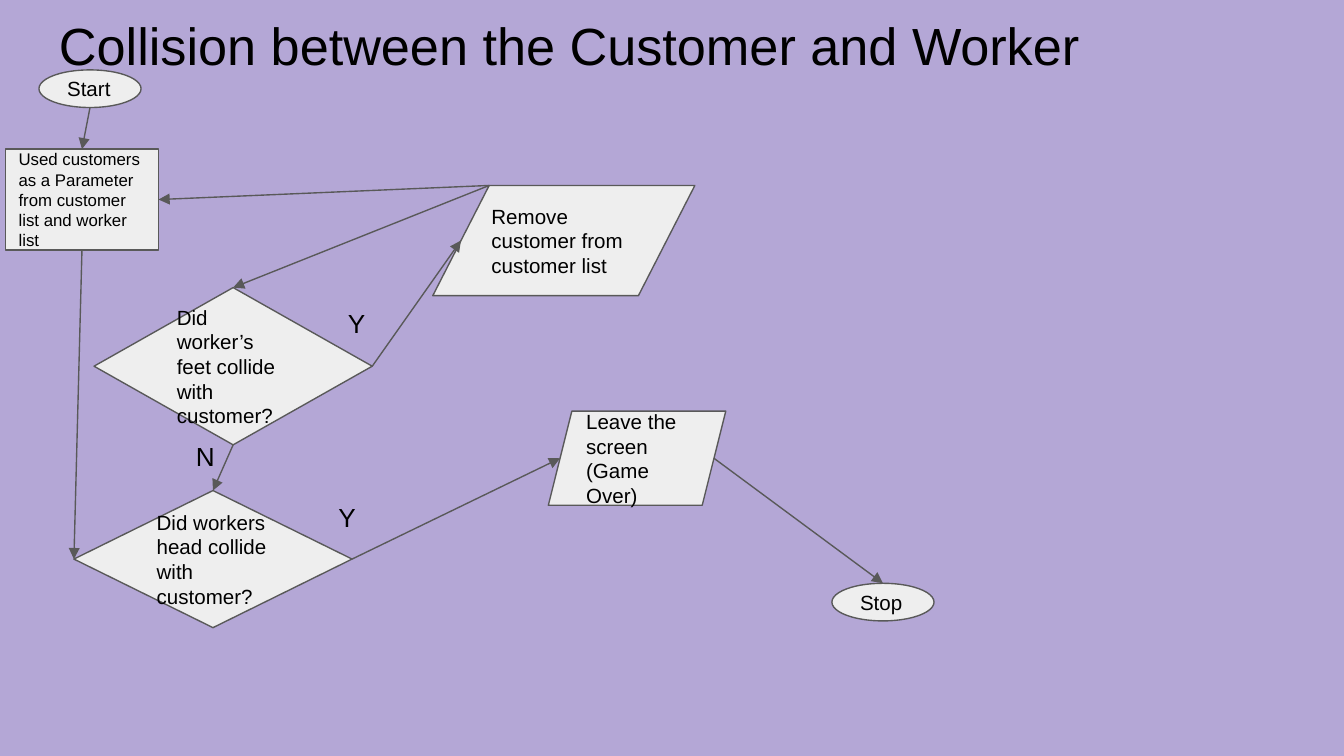
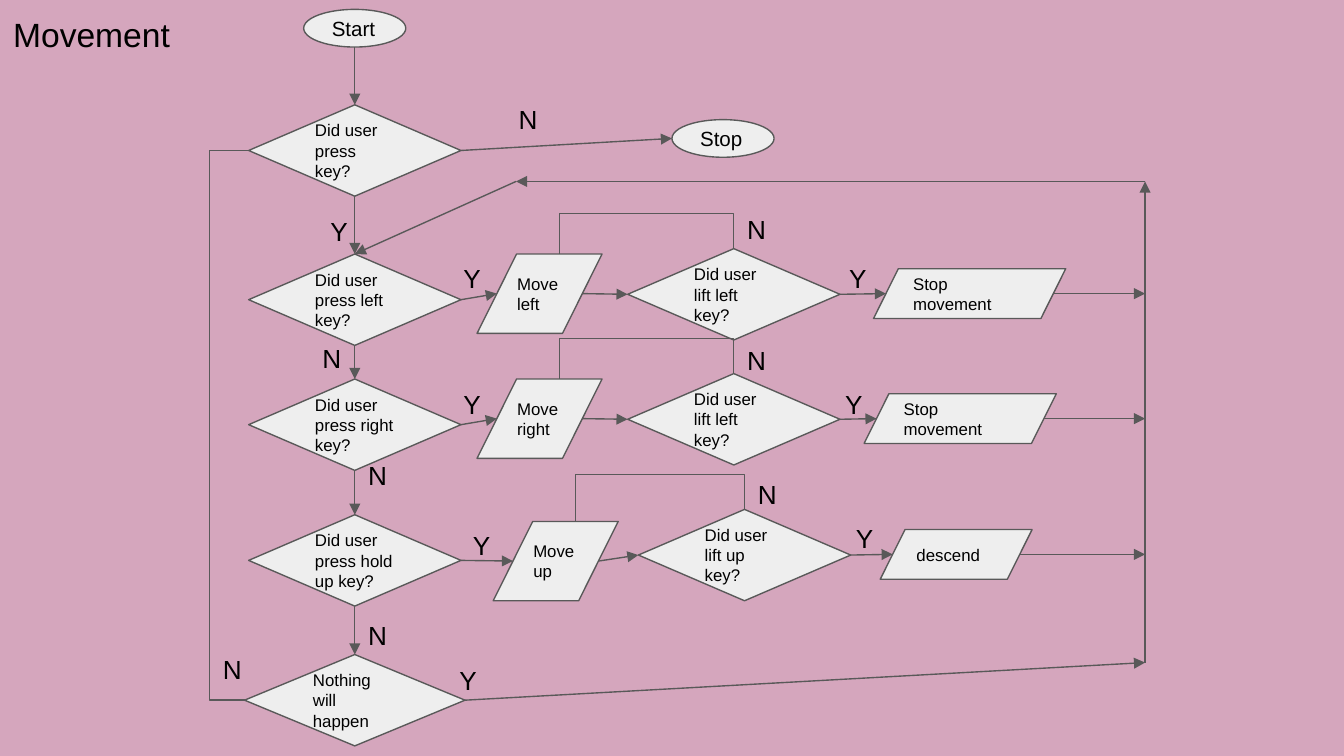
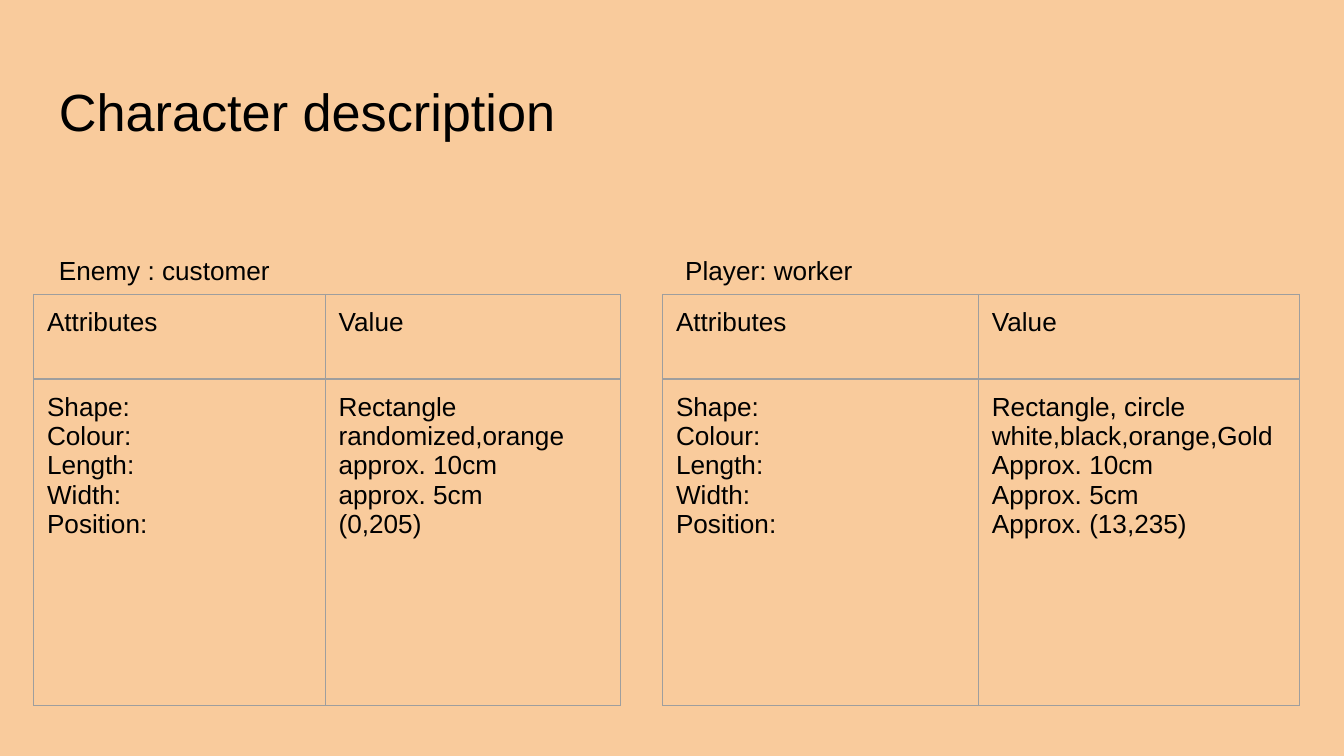
"""Build three slides: two game flowcharts and a description of the characters."""
from pptx import Presentation
from pptx.dml.color import RGBColor
from pptx.enum.shapes import MSO_CONNECTOR, MSO_SHAPE
from pptx.enum.text import MSO_ANCHOR, PP_ALIGN
from pptx.oxml.ns import qn
from pptx.oxml.xmlchemy import OxmlElement
from pptx.util import Emu, Pt

COLORS = {
    "collision": "B4A7D6",
    "movement": "D5A6BD",
    "characters": "F9CB9C",
    "node": "EEEEEE",
    "line": "595959",
    "border": "9E9E9E",
    "text": "000000",
}
FONT = "Arial"
SLIDE_WIDTH, SLIDE_HEIGHT = Emu(9144000), Emu(5143500)
COLUMNS = 10
LINE_WIDTH = Pt(0.75)
INSET = 0.1
OVAL = (0.76, 0.28)
DECISION = (1.58, 0.68)
MOVE = (0.93, 0.59)
LOOP_REACH = 0.26
RAIL = 8.52
RAIL_TOP, RAIL_BOTTOM = 1.35, 4.93


def grid(count):
    """Turn a count of grid columns or rows into a length."""
    return Emu(round(count * SLIDE_WIDTH / COLUMNS))


def color(name):
    """Look up a colour of the deck."""
    return RGBColor.from_string(COLORS[name])


def add_page(deck, background):
    """Add a blank page with a plain background."""
    page = deck.slides.add_slide(deck.slide_layouts[6])
    page.background.fill.solid()
    page.background.fill.fore_color.rgb = color(background)
    return page


def write(frame, lines, size):
    """Fill a text frame with one left-aligned paragraph per line."""
    frame.word_wrap = True
    for index, line in enumerate(lines):
        para = frame.add_paragraph() if index else frame.paragraphs[0]
        para.alignment = PP_ALIGN.LEFT
        span = para.add_run()
        span.text = line
        span.font.size = Pt(size)
        span.font.name = FONT
        span.font.color.rgb = color("text")


def set_insets(holder):
    """Give a text frame or table cell equal insets."""
    for side in ("left", "top", "right", "bottom"):
        setattr(holder, f"margin_{side}", grid(INSET))


def add_text(page, text, left, top, width, height, size=14):
    """Add a text box with one line of text."""
    box = page.shapes.add_textbox(*map(grid, (left, top, width, height)))
    set_insets(box.text_frame)
    write(box.text_frame, [text], size)


def add_labels(page, text, places, width, height):
    """Add the same branch label at several places."""
    for left, top in places:
        add_text(page, text, left, top, width, height)


def add_node(page, kind, text, place, extent, size=9, skew=None):
    """Add a flowchart node."""
    node = page.shapes.add_shape(kind, *map(grid, place + extent))
    node.shadow.inherit = False
    node.fill.solid()
    node.fill.fore_color.rgb = color("node")
    node.line.color.rgb = color("line")
    node.line.width = LINE_WIDTH
    if skew is not None:
        node.adjustments[0] = skew
    set_insets(node.text_frame)
    node.text_frame.vertical_anchor = MSO_ANCHOR.MIDDLE
    write(node.text_frame, [text], size)
    return node


def add_oval(page, text, left, top):
    """Add a start or stop node."""
    return add_node(page, MSO_SHAPE.OVAL, text, (left, top), OVAL, 11)


def add_decision(page, text, left, top, extent=DECISION, size=9):
    """Add a diamond with a question."""
    return add_node(page, MSO_SHAPE.DIAMOND, text, (left, top), extent, size)


def add_action(page, text, left, top, extent, size=9, skew=0.498):
    """Add a slanted action node."""
    return add_node(page, MSO_SHAPE.PARALLELOGRAM, text, (left, top), extent, size, skew)


def point(left, top):
    """Turn a grid position into a point."""
    return grid(left), grid(top)


def slant(node):
    """Return how far the top left corner of a node is moved in."""
    if node.auto_shape_type != MSO_SHAPE.PARALLELOGRAM:
        return 0
    return round(node.adjustments[0] * min(node.width, node.height))


def edge(node, side):
    """Return the middle of one visible edge of a node."""
    shift = slant(node) / 2
    center, middle = node.left + node.width / 2, node.top + node.height / 2
    across, down = {
        "top": (center + shift, node.top),
        "bottom": (center - shift, node.top + node.height),
        "left": (node.left + shift, middle),
        "right": (node.left + node.width - shift, middle),
    }[side]
    return Emu(round(across)), Emu(round(down))


def add_line(page, kind, start, end):
    """Add a plain line of the flowchart."""
    line = page.shapes.add_connector(kind, *start, *end)
    line.line.color.rgb = color("line")
    line.line.width = LINE_WIDTH
    line._element.spPr.append(OxmlElement("a:effectLst"))
    return line


def add_arrow(page, start, end):
    """Add a straight line with a triangle at its end."""
    line = add_line(page, MSO_CONNECTOR.STRAIGHT, start, end)
    head = OxmlElement("a:tailEnd")
    head.set("type", "triangle")
    line.line._get_or_add_ln().append(head)


def bend(line, share):
    """Set where an elbow line turns, as a share of its box."""
    geometry = line._element.spPr.find(qn("a:prstGeom"))
    guides = geometry.find(qn("a:avLst"))
    if guides is None:
        guides = OxmlElement("a:avLst")
        geometry.append(guides)
    guide = OxmlElement("a:gd")
    guide.set("name", "adj1")
    guide.set("fmla", f"val {round(share * 100000)}")
    guides.append(guide)


def add_side_loop(page, start, end):
    """Add an elbow line that reaches out to the left."""
    line = add_line(page, MSO_CONNECTOR.ELBOW, start, end)
    bend(line, -grid(LOOP_REACH) / (end[0] - start[0]))


def add_top_loop(page, start, end):
    """Add an elbow line that rises from the start and returns to the left."""
    drop, run = end[1] - start[1], start[0] - end[0]
    left = (start[0] + end[0] - drop) // 2
    top = (start[1] + end[1] - run) // 2
    line = add_line(page, MSO_CONNECTOR.ELBOW, (left, top), (left + drop, top + run))
    line._element.spPr.find(qn("a:xfrm")).set("rot", str(90 * 60000))
    bend(line, -grid(LOOP_REACH) / drop)


def border_cell(cell):
    """Draw a thin border on each side of a cell."""
    properties = cell._tc.get_or_add_tcPr()
    for index, side in enumerate(("a:lnL", "a:lnR", "a:lnT", "a:lnB")):
        border = OxmlElement(side)
        border.set("w", str(LINE_WIDTH))
        fill = OxmlElement("a:solidFill")
        shade = OxmlElement("a:srgbClr")
        shade.set("val", COLORS["border"])
        fill.append(shade)
        border.append(fill)
        properties.insert(index, border)


def add_attributes(page, left, widths, values):
    """Add a table of attributes and their values."""
    heights = (0.63, 2.43)
    extent = (sum(widths), sum(heights))
    table = page.shapes.add_table(2, 2, *map(grid, (left, 2.19) + extent)).table
    table.first_row = table.horz_banding = False
    for column, width in zip(table.columns, widths):
        column.width = grid(width)
    for row, height in zip(table.rows, heights):
        row.height = grid(height)
    names = ["Shape:", "Colour:", "Length:", "Width:", "Position:"]
    contents = (["Attributes"], ["Value"], names, values)
    for cell, lines in zip(table.iter_cells(), contents):
        set_insets(cell)
        cell.fill.background()
        border_cell(cell)
        write(cell.text_frame, lines, 14)


def build_collision(deck):
    """Build the flowchart of the collision."""
    page = add_page(deck, "collision")
    add_text(page, "Collision between the Customer and Worker", 0.34, 0, 9.32, 0.63, 28)
    start = add_oval(page, "Start", 0.29, 0.52)
    feet = add_decision(page, "Did worker’s feet collide with customer?",
                        0.7, 2.14, (2.07, 1.17), 11)
    remove = add_action(page, "Remove customer from customer list",
                        3.22, 1.38, (1.95, 0.82), 11, 0.512)
    lists = add_node(page, MSO_SHAPE.RECTANGLE,
                     "Used customers as a Parameter from customer list and worker list",
                     (0.04, 1.11), (1.14, 0.75))
    head = add_decision(page, "Did workers head collide with customer?",
                        0.55, 3.65, (2.07, 1.02), 11)
    leave = add_action(page, "Leave the screen (Game Over)",
                       4.08, 3.06, (1.32, 0.7), 11, 0.25)
    stop = add_oval(page, "Stop", 6.19, 4.34)
    for origin, leaving, target, entering in (
        (start, "bottom", lists, "top"),
        (lists, "bottom", head, "left"),
        (feet, "bottom", head, "top"),
        (feet, "right", remove, "left"),
        (head, "right", leave, "left"),
        (leave, "right", stop, "top"),
    ):
        add_arrow(page, edge(origin, leaving), edge(target, entering))
    corner = (remove.left + slant(remove), remove.top)
    add_arrow(page, corner, edge(lists, "right"))
    add_arrow(page, corner, edge(feet, "top"))
    add_labels(page, "Y", [(2.49, 2.19), (2.42, 3.63)], 0.45, 0.36)
    add_labels(page, "N", [(1.36, 3.18)], 0.45, 0.36)


def add_key_row(page, press, move, lift, finish):
    """Add the steps that follow one key and join them up to the rail."""
    steps = [press, add_action(page, *move, MOVE), add_decision(page, *lift),
             add_action(page, *finish)]
    for origin, target in zip(steps, steps[1:]):
        add_arrow(page, edge(origin, "right"), edge(target, "left"))
    row_end = edge(steps[-1], "right")
    add_arrow(page, row_end, (grid(RAIL), row_end[1]))
    add_top_loop(page, edge(steps[2], "top"), edge(steps[1], "top"))


def build_movement(deck):
    """Build the flowchart of the movement keys."""
    page = add_page(deck, "movement")
    add_text(page, "Movement", 0, 0, 1.47, 0.49, 18)
    start = add_oval(page, "Start", 2.26, 0.07)
    stop = add_oval(page, "Stop", 5, 0.89)
    questions = (
        ("Did user press key?", 0.78),
        ("Did user press left key?", 1.89),
        ("Did user press right key?", 2.82),
        ("Did user press hold up key?", 3.83),
    )
    checks = [add_decision(page, text, 1.85, top) for text, top in questions]
    press, left, right, up = checks
    nothing = add_decision(page, "Nothing will happen", 1.82, 4.87, (1.64, 0.68))
    chain = [start, *checks, nothing]
    for origin, target in zip(chain, chain[1:]):
        add_arrow(page, edge(origin, "bottom"), edge(target, "top"))
    add_arrow(page, edge(press, "right"), edge(stop, "left"))
    add_key_row(page, left, ("Move left", 3.55, 1.89),
                ("Did user lift left key?", 4.67, 1.85),
                ("Stop movement", 6.5, 2, (1.43, 0.37)))
    add_key_row(page, right, ("Move right", 3.55, 2.82),
                ("Did user lift left key?", 4.67, 2.78),
                ("Stop movement", 6.43, 2.93, (1.43, 0.37)))
    add_key_row(page, up, ("Move up", 3.67, 3.88),
                ("Did user lift up key?", 4.75, 3.79),
                ("descend", 6.55, 3.94, (1.13, 0.37)))
    way_back = [edge(nothing, "right"), point(RAIL, RAIL_BOTTOM), point(RAIL, RAIL_TOP),
                point(3.84, RAIL_TOP), edge(left, "top")]
    for origin, target in zip(way_back, way_back[1:]):
        add_arrow(page, origin, target)
    add_side_loop(page, edge(nothing, "left"), edge(press, "left"))
    add_labels(page, "Y", [(2.36, 1.5), (3.35, 1.85), (6.22, 1.85), (3.35, 2.79),
                           (6.19, 2.79), (3.42, 3.84), (6.27, 3.79)], 0.28, 0.24)
    add_labels(page, "N", [(3.76, 0.67), (5.46, 1.49), (2.3, 2.45), (5.46, 2.46),
                           (2.64, 3.32), (5.54, 3.46), (2.64, 4.51), (1.56, 4.76)],
               0.39, 0.49)
    add_labels(page, "Y", [(3.32, 4.84)], 0.39, 0.49)


def build_characters(deck):
    """Build the tables that describe the characters."""
    page = add_page(deck, "characters")
    add_text(page, "Character description", 0.34, 0.49, 9.32, 0.63, 28)
    add_text(page, "Enemy : customer", 0.34, 1.79, 4.23, 0.4)
    add_attributes(page, 0.25, (2.17, 2.2),
                   ["Rectangle", "randomized,orange", "approx. 10cm",
                    "approx. 5cm", "(0,205)"])
    add_text(page, "Player: worker", 5, 1.79, 4.23, 0.4)
    add_attributes(page, 4.93, (2.35, 2.39),
                   ["Rectangle, circle", "white,black,orange,Gold", "Approx. 10cm",
                    "Approx. 5cm", "Approx. (13,235)"])


def main():
    """Build and save the deck."""
    deck = Presentation()
    deck.slide_width, deck.slide_height = SLIDE_WIDTH, SLIDE_HEIGHT
    build_collision(deck)
    build_movement(deck)
    build_characters(deck)
    deck.save("out.pptx")


if __name__ == "__main__":
    main()
